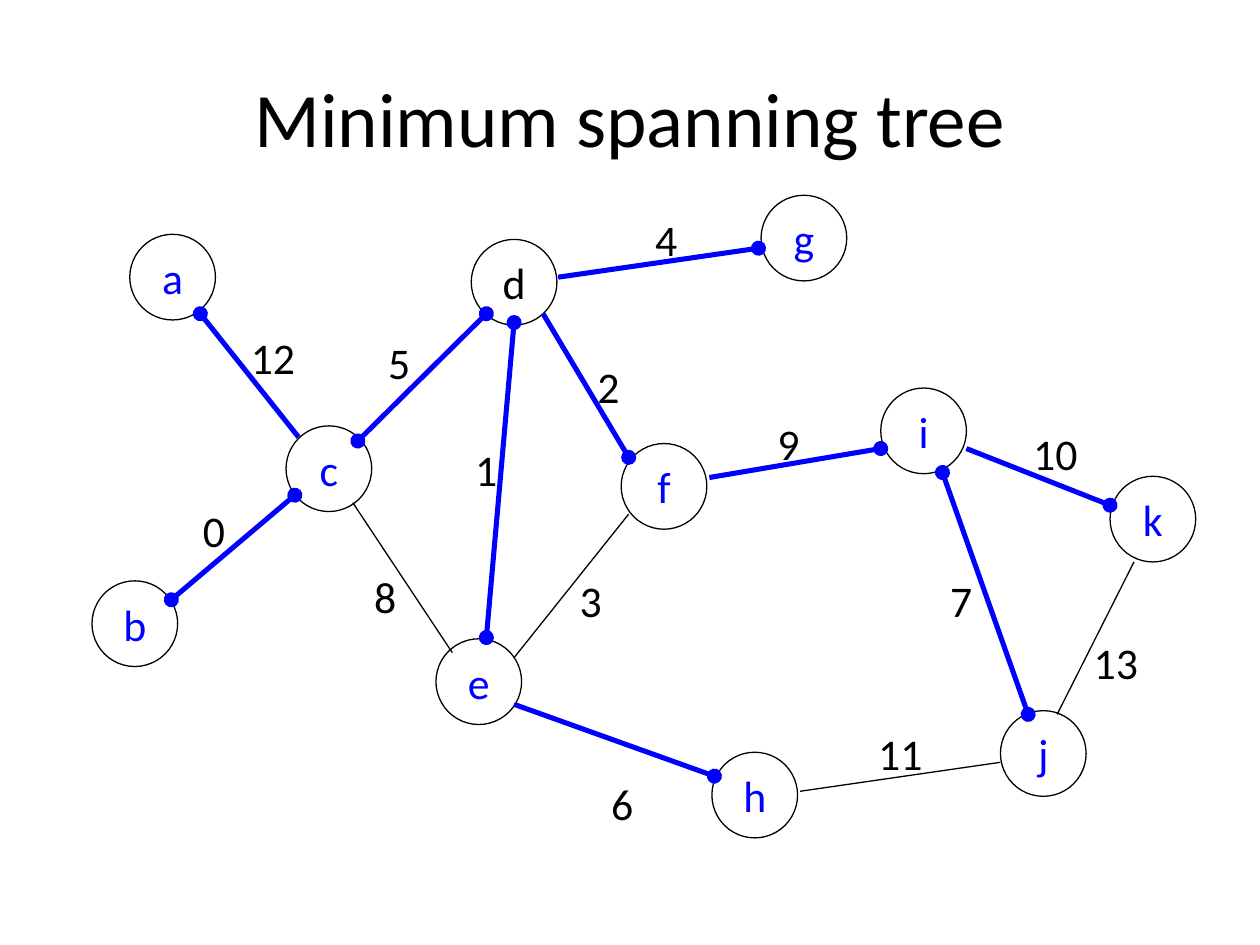
"""Build a slide that shows the minimum spanning tree of a weighted graph."""
from pptx import Presentation
from pptx.dml.color import RGBColor
from pptx.enum.shapes import MSO_CONNECTOR, MSO_SHAPE
from pptx.enum.text import MSO_ANCHOR, PP_ALIGN
from pptx.oxml.ns import qn
from pptx.util import Inches, Pt
from lxml.etree import SubElement

BLACK, BLUE = "000000", "0000FF"


def paint(color, hue):
    color.rgb = RGBColor.from_string(hue)


def write(shape, text, size, hue, align, pad):
    frame = shape.text_frame
    frame.text = text
    frame.margin_left = frame.margin_right = Inches(pad)
    frame.margin_top = frame.margin_bottom = Inches(pad / 2)
    line = frame.paragraphs[0]
    line.alignment = align
    font = line.runs[0].font
    font.name, font.size = "Calibri", Pt(size)
    paint(font.color, hue)
    return frame


deck = Presentation()
deck.slide_width, deck.slide_height = Inches(10), Inches(7.5)
col, row = deck.slide_width / 100, deck.slide_height / 75
slide = deck.slides.add_slide(deck.slide_layouts[5])
shapes = slide.shapes

title = shapes.title
title.left, title.top = int(5 * col), int(3 * row)
title.width, title.height = int(90 * col), int(12.5 * row)
frame = write(title, "Minimum spanning tree", 44, BLACK, PP_ALIGN.CENTER, 0)
frame.vertical_anchor = MSO_ANCHOR.MIDDLE

nodes = {
    "e": (34.6, 50.7), "h": (56.5, 59.7), "f": (49.3, 35.2), "k": (88.1, 37.8),
    "i": (69.9, 30.8), "g": (60.4, 15.5), "d": (37.4, 19), "b": (7.3, 46.1),
    "c": (22.7, 33.8), "a": (10.3, 18.6), "j": (79.4, 56.4),
}
for name, (x, y) in nodes.items():
    node = shapes.add_shape(MSO_SHAPE.OVAL, int(x * col), int(y * row),
                            int(6.8 * col), int(6.8 * row))
    node.shadow.inherit = False
    node.fill.background()
    paint(node.line.color, BLACK)
    node.line.width = Pt(0.75)
    hue = BLACK if name == "d" else BLUE
    frame = write(node, name, 25, hue, PP_ALIGN.CENTER, 0.09)
    frame.vertical_anchor = MSO_ANCHOR.MIDDLE

HEAD, TAIL = ["headEnd"], ["tailEnd"]
edges = [
    (15.9, 24.9, 23.7, 34.7, HEAD),
    (40.8, 55.9, 56.7, 61.6, TAIL),
    (13.6, 47.6, 23.4, 39.3, HEAD + TAIL),
    (38.6, 24.9, 28.4, 35, HEAD + TAIL),
    (38.6, 50.6, 40.8, 25.6, HEAD + TAIL),
    (35.9, 51.8, 28, 39.9, []),
    (49.9, 40.8, 40.8, 52.2, []),
    (49.9, 36.3, 43.1, 24.9, HEAD),
    (44.3, 22, 60.2, 19.7, TAIL),
    (56.3, 37.9, 69.9, 35.6, TAIL),
    (76.7, 35.6, 88.1, 40.1, TAIL),
    (63.5, 62.8, 79.4, 60.5, []),
    (74.8, 37.5, 81.6, 56.7, HEAD + TAIL),
    (83.9, 56.7, 90, 44.6, []),
]
for x, y, right, down, dots in edges:
    edge = shapes.add_connector(MSO_CONNECTOR.STRAIGHT, int(x * col), int(y * row),
                                int(right * col), int(down * row))
    paint(edge.line.color, BLUE if dots else BLACK)
    edge.line.width = Pt(2.89 if dots else 0.75)
    for dot in dots:
        SubElement(edge.get_or_add_ln(), qn("a:" + dot), type="oval")
    SubElement(edge.element.spPr, qn("a:effectLst"))

weights = {
    12: (19, 25.8), 0: (15.2, 39.5), 5: (29.9, 26.2), 8: (28.8, 44.8),
    1: (36.8, 34.7), 2: (46.5, 28.1), 3: (45.1, 45.1), 6: (47.6, 61.2),
    11: (68.8, 57.2), 13: (85.9, 50), 10: (81.1, 33.4), 7: (74.5, 45.1),
    9: (60.8, 32.6), 4: (51.1, 16.4),
}
for weight, (x, y) in weights.items():
    wide = 5.5 if weight > 9 else 3.8
    label = shapes.add_textbox(int(x * col), int(y * row),
                               int(wide * col), int(5.3 * row))
    frame = write(label, str(weight), 25, BLACK, PP_ALIGN.LEFT, 0.09)
    frame.word_wrap = False

deck.save("out.pptx")
